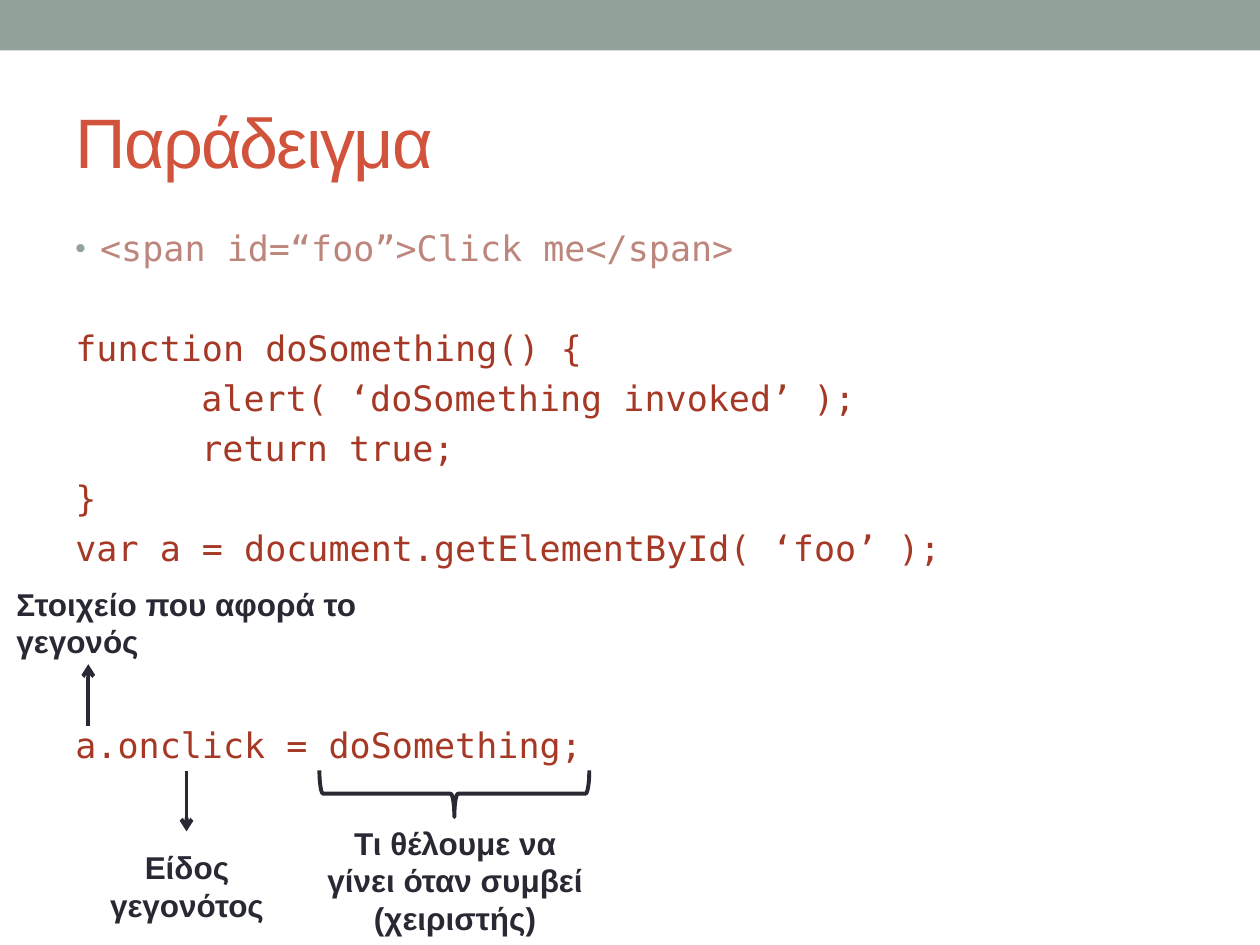
from pptx import Presentation
from pptx.dml.color import RGBColor
from pptx.enum import shapes, text
from pptx.oxml.ns import qn
from pptx.util import Cm, Pt
from lxml import etree

THEME = {
    "band": "93A299", "title": "D2533C", "markup": "BD867C",
    "code": "A53926", "ink": "292934",
    "sans": "Arial", "mono": "DejaVu Sans Mono",
    "title_size": 40, "code_size": 20, "label_size": 18, "line": 2.25,
}

# Content: code lines as (text, colour, indent in cm, empty rows above)
TITLE = "Παράδειγμα"
CODE = [
    ("<span id=“foo”>Click me</span>", "markup", 0.5, 0),
    ("function doSomething() {", "code", 0, 1),
    ("alert( ‘doSomething invoked’ );", "code", 2.54, 0),
    ("return true;", "code", 2.54, 0),
    ("}", "code", 0, 0),
    ("var a = document.getElementById( ‘foo’ );", "code", 0, 0),
    ("a.onclick = doSomething;", "code", 0, 3),
]
# Labels: text, (left, top, width, height) in cm, alignment
LABELS = [
    ("Είδος γεγονότος", (1.27, 16.97, 5, 1.8), text.PP_ALIGN.CENTER),
    ("Τι θέλουμε να γίνει όταν συμβεί\n(χειριστής)",
     (6.15, 16.48, 6.05, 2.57), text.PP_ALIGN.CENTER),
    ("Στοιχείο που αφορά το γεγονός",
     (0.08, 11.66, 7.39, 1.8), text.PP_ALIGN.LEFT),
]
# Arrows: x, start y, end y in cm
ARROWS = [(3.76, 15.54, 16.76), (1.78, 14.63, 13.39)]
BRACE = (8.69, 13.28, 0.94, 5.44)

ROW_GAP = 4.66   # points between code lines
ROW_PITCH = 28   # points from one code line to the next


def colour(name):
    return RGBColor.from_string(THEME[name])


def style(para, font, size, ink, bold=False):
    for span in para.runs:
        span.font.name = THEME[font]
        span.font.size = Pt(THEME[size])
        span.font.color.rgb = colour(ink)
        span.font.bold = bold


def add_text_box(page, place):
    box = page.shapes.add_textbox(*map(Cm, place))
    box.text_frame.word_wrap = True
    return box


def outline(item):
    item.line.color.rgb = colour("ink")
    item.line.width = Pt(THEME["line"])


def add_bullet(para, indent):
    props = para._p.get_or_add_pPr()
    props.set("indent", str(-Cm(indent)))
    tint = etree.SubElement(props, qn("a:buClr"))
    etree.SubElement(tint, qn("a:srgbClr"), val=THEME["band"])
    etree.SubElement(props, qn("a:buSzPct"), val="85000")
    etree.SubElement(props, qn("a:buFont"), typeface=THEME["sans"])
    etree.SubElement(props, qn("a:buChar"), char="•")


def add_title(page):
    title = page.shapes.title
    title.left, title.top, title.width, title.height = map(
        Cm, (1.27, 1.47, 22.86, 2.74))
    title.text_frame.text = TITLE
    title.text_frame.vertical_anchor = text.MSO_ANCHOR.MIDDLE
    para = title.text_frame.paragraphs[0]
    para.alignment = text.PP_ALIGN.LEFT
    style(para, "sans", "title_size", "title")
    para.runs[0].font._element.set("spc", "-100")


def add_code(page):
    frame = add_text_box(page, (1.27, 4.45, 22.86, 13.54)).text_frame
    frame.text = "\n".join(line[0] for line in CODE)
    for para, (_, ink, indent, skipped) in zip(frame.paragraphs, CODE):
        style(para, "mono", "code_size", ink)
        para.space_before = Pt(ROW_GAP + skipped * ROW_PITCH)
        para._p.get_or_add_pPr().set("marL", str(Cm(indent)))
    frame.paragraphs[0].space_before = Pt(0)
    add_bullet(frame.paragraphs[0], CODE[0][2])


def add_arrow(page, x, start, end):
    arrow = page.shapes.add_connector(
        shapes.MSO_CONNECTOR.STRAIGHT, Cm(x), Cm(start), Cm(x), Cm(end))
    outline(arrow)
    etree.SubElement(arrow.line._get_or_add_ln(), qn("a:tailEnd"), type="arrow")
    etree.SubElement(arrow._element.spPr, qn("a:effectLst"))


def main():
    deck = Presentation()
    deck.slide_width, deck.slide_height = Cm(25.4), Cm(19.05)
    page = deck.slides.add_slide(deck.slide_layouts[5])

    # Top band
    band = page.shapes.add_shape(
        shapes.MSO_SHAPE.RECTANGLE, 0, 0, deck.slide_width, Cm(1.02))
    band.shadow.inherit = False
    band.fill.solid()
    band.fill.fore_color.rgb = colour("band")
    band.line.fill.background()

    add_title(page)
    add_code(page)

    # Arrows and brace pointing at parts of the last code line
    for arrow in ARROWS:
        add_arrow(page, *arrow)
    brace = page.shapes.add_shape(shapes.MSO_SHAPE.LEFT_BRACE, *map(Cm, BRACE))
    brace.rotation = 270
    brace.adjustments[0] = 0.08
    brace.shadow.inherit = False
    brace.fill.background()
    outline(brace)

    # Explanations
    for words, place, alignment in LABELS:
        frame = add_text_box(page, place).text_frame
        frame.text = words
        for para in frame.paragraphs:
            para.alignment = alignment
            style(para, "sans", "label_size", "ink", bold=True)

    deck.save("out.pptx")


if __name__ == "__main__":
    main()
